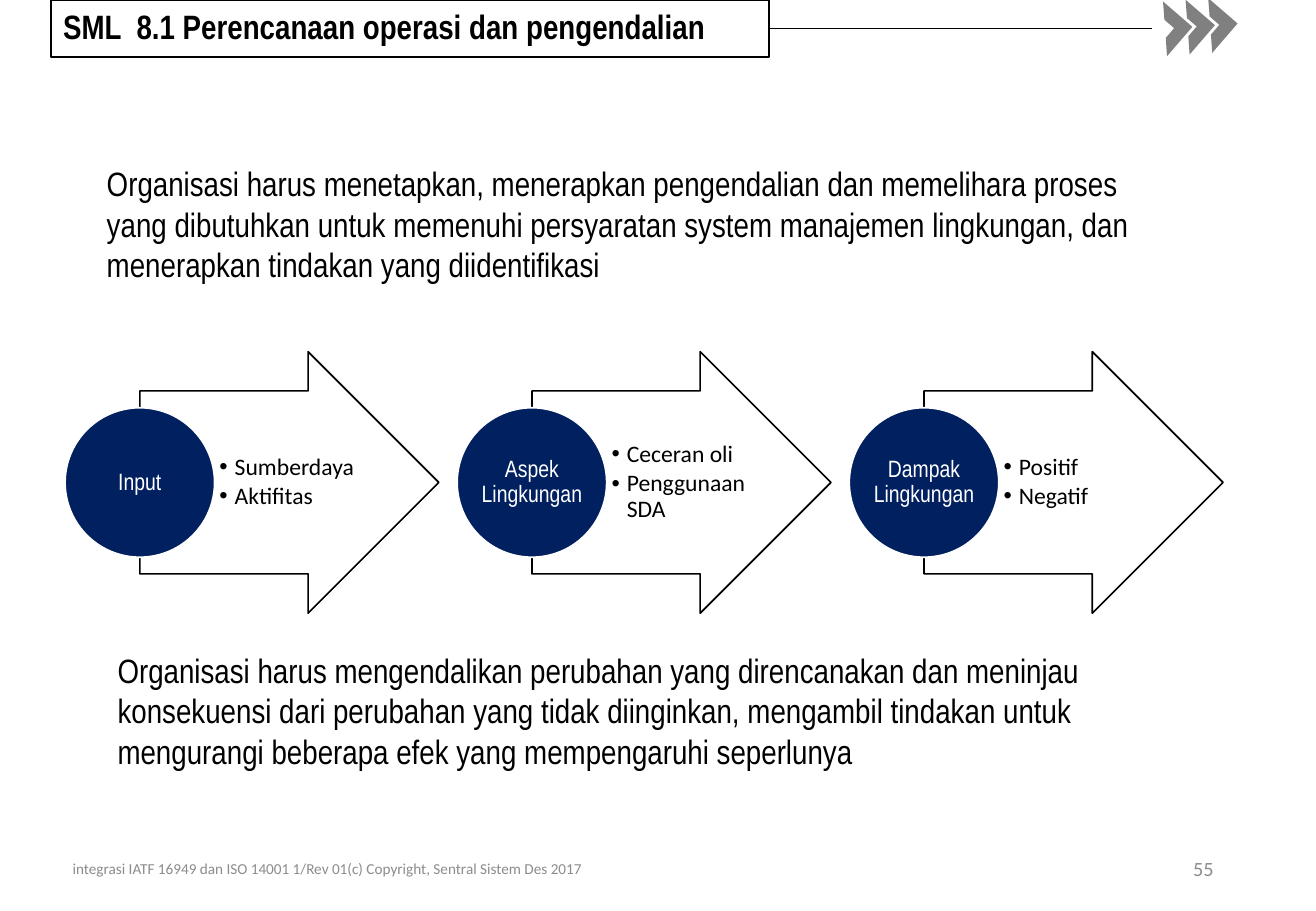
"""Builds the slide on operational planning and control in an environmental management system."""
from lxml import etree
from pptx import Presentation
from pptx import util as u
from pptx.dml.color import RGBColor
from pptx.enum import shapes, text
from pptx.oxml import ns

COLOURS = {"ink": "000000", "paper": "FFFFFF", "navy": "002060",
           "chevron": "808080", "footer": "8C8C8C"}
NARROW, PLAIN = "Arial Narrow", "Calibri"
STAGES = [("Input", ["Sumberdaya", "Aktifitas"]),
          ("Aspek Lingkungan", ["Ceceran oli", "Penggunaan SDA"]),
          ("Dampak Lingkungan", ["Positif", "Negatif"])]
OPENING = ("Organisasi harus menetapkan, menerapkan pengendalian dan memelihara proses "
           "yang dibutuhkan untuk memenuhi persyaratan system manajemen lingkungan, dan "
           "menerapkan tindakan yang diidentifikasi")
CLOSING = ("Organisasi harus mengendalikan perubahan yang direncanakan dan meninjau "
           "konsekuensi dari perubahan yang tidak diinginkan, mengambil tindakan untuk "
           "mengurangi beberapa efek yang mempengaruhi seperlunya")
FOOTER = "integrasi IATF 16949 dan ISO 14001 1/Rev 01(c) Copyright, Sentral Sistem Des 2017"
STAGE_LEFT, STAGE_PITCH, STAGE_MIDDLE = 82.9, 232.4, 286
ARROW_WIDTH, ARROW_HEIGHT, CIRCLE_SIZE = 177.2, 155, 88.6
LIST_WIDTH, LIST_HEIGHT = 86.4, 108.6


def points(*values):
    """Turn numbers into lengths in points."""
    return [u.Pt(value) for value in values]


def colour(name):
    """Look up a colour by name."""
    return RGBColor.from_string(COLOURS[name])


def paint(shape, fill=None, line=None):
    """Set the fill and outline of a shape; None leaves it clear."""
    for target, name in ((shape.fill, fill), (shape.line.fill, line)):
        if name:
            target.solid()
            target.fore_color.rgb = colour(name)
        else:
            target.background()
    if line:
        shape.line.width = u.Pt(1)


def place(shape, left, top, width, height):
    """Move and size a placeholder."""
    shape.left, shape.top, shape.width, shape.height = points(left, top, width, height)


def set_frame(box, anchor, insets=(7.2, 3.6, 7.2, 3.6), fit=text.MSO_AUTO_SIZE.NONE):
    """Set wrapping, anchor and margins of a text frame and return it."""
    frame = box.text_frame
    frame.word_wrap, frame.auto_size, frame.vertical_anchor = True, fit, anchor
    (frame.margin_left, frame.margin_top,
     frame.margin_right, frame.margin_bottom) = points(*insets)
    return frame


def write(para, words, size, font, ink="ink", bold=False,
          align=text.PP_ALIGN.LEFT, spacing=1.0):
    """Write one formatted run into a paragraph."""
    para.alignment, para.line_spacing, para.space_before = align, spacing, u.Pt(0)
    span = para.add_run()
    span.text = words
    span.font.size, span.font.name, span.font.bold = u.Pt(size), font, bold
    span.font.color.rgb = colour(ink)


def add_bullet(para):
    """Give a paragraph a round bullet and a hanging indent."""
    properties = para._p.get_or_add_pPr()
    properties.set("marL", str(u.Pt(9)))
    properties.set("indent", str(u.Pt(-9)))
    etree.SubElement(properties, ns.qn("a:buFont")).set("typeface", "Arial")
    etree.SubElement(properties, ns.qn("a:buChar")).set("char", "•")


def add_shape(page, kind, area, fill=None, line=None):
    """Add a painted preset shape without shadow."""
    shape = page.shapes.add_shape(kind, *points(*area))
    shape.shadow.inherit = False
    paint(shape, fill, line)
    return shape


def add_text(page, area, words, size, font, ink="ink", anchor=text.MSO_ANCHOR.MIDDLE,
             align=text.PP_ALIGN.LEFT, fit=text.MSO_AUTO_SIZE.NONE):
    """Add a text box with one paragraph."""
    box = page.shapes.add_textbox(*points(*area))
    frame = set_frame(box, anchor, fit=fit)
    write(frame.paragraphs[0], words, size, font, ink, align=align)


def add_header(page):
    """Fill the framed title and add the rule and chevrons to its right."""
    title = page.shapes.title
    place(title, 30.2, 0, 425.5, 34)
    paint(title, "paper", "ink")
    frame = set_frame(title, text.MSO_ANCHOR.TOP)
    write(frame.paragraphs[0], "SML  8.1 Perencanaan operasi dan pengendalian",
          20, NARROW, bold=True)
    for index in range(3):
        chevron = add_shape(page, shapes.MSO_SHAPE.HALF_FRAME,
                            (679 + 13.4 * index, 5.6 - index, 23, 23), "chevron")
        chevron.rotation = 130.8
    rule = page.shapes.add_connector(shapes.MSO_CONNECTOR.STRAIGHT,
                                     *points(455.7, 17, 682.6, 17))
    rule.begin_connect(title, 3)
    rule.line.width = u.Pt(0.5)
    rule.line.color.rgb = colour("ink")
    etree.SubElement(rule._element.spPr, ns.qn("a:effectLst"))


def add_stage(page, listing, index, name, items):
    """Add one stage: an arrow, a named circle on its tail and a list inside."""
    left = STAGE_LEFT + index * STAGE_PITCH
    radius = CIRCLE_SIZE / 2
    arrow = add_shape(page, shapes.MSO_SHAPE.RIGHT_ARROW,
                      (left, STAGE_MIDDLE - ARROW_HEIGHT / 2, ARROW_WIDTH, ARROW_HEIGHT),
                      line="ink")
    arrow.adjustments[0], arrow.adjustments[1] = 0.7, 0.5
    circle = add_shape(page, shapes.MSO_SHAPE.OVAL,
                       (left - radius, STAGE_MIDDLE - radius, CIRCLE_SIZE, CIRCLE_SIZE),
                       "navy", "paper")
    frame = set_frame(circle, text.MSO_ANCHOR.MIDDLE, (0.7, 0.7, 0.7, 0.7))
    write(frame.paragraphs[0], name, 14, NARROW, "paper",
          align=text.PP_ALIGN.CENTER, spacing=0.9)
    place(listing, left + radius, STAGE_MIDDLE - LIST_HEIGHT / 2, LIST_WIDTH, LIST_HEIGHT)
    frame = set_frame(listing, text.MSO_ANCHOR.MIDDLE, (2.9, 0.7, 1.4, 0.7))
    for number, item in enumerate(items):
        para = frame.add_paragraph() if number else frame.paragraphs[0]
        para.level = 1
        add_bullet(para)
        write(para, item, 14, PLAIN, spacing=0.9)
        para.space_after = u.Pt(2.1)


def main():
    """Build the slide and save it."""
    deck = Presentation()
    deck.slide_width, deck.slide_height = points(780, 540)
    page = deck.slides.add_slide(deck.slide_layouts.get_by_name("Comparison"))
    *listings, spare = list(page.placeholders)[1:]
    spare._element.getparent().remove(spare._element)
    add_header(page)
    grow = text.MSO_AUTO_SIZE.SHAPE_TO_FIT_TEXT
    add_text(page, (56.2, 93, 653, 80), OPENING, 20, NARROW,
             anchor=text.MSO_ANCHOR.TOP, fit=grow)
    for index, (listing, (name, items)) in enumerate(zip(listings, STAGES)):
        add_stage(page, listing, index, name, items)
    add_text(page, (62.6, 381, 632, 80), CLOSING, 20, NARROW, fit=grow)
    add_text(page, (551, 500.4, 175.5, 28.8), "55", 12, PLAIN, "footer",
             align=text.PP_ALIGN.RIGHT)
    add_text(page, (36, 500.4, 426, 28.8), FOOTER, 9, PLAIN, "footer")
    deck.save("out.pptx")


if __name__ == "__main__":
    main()
